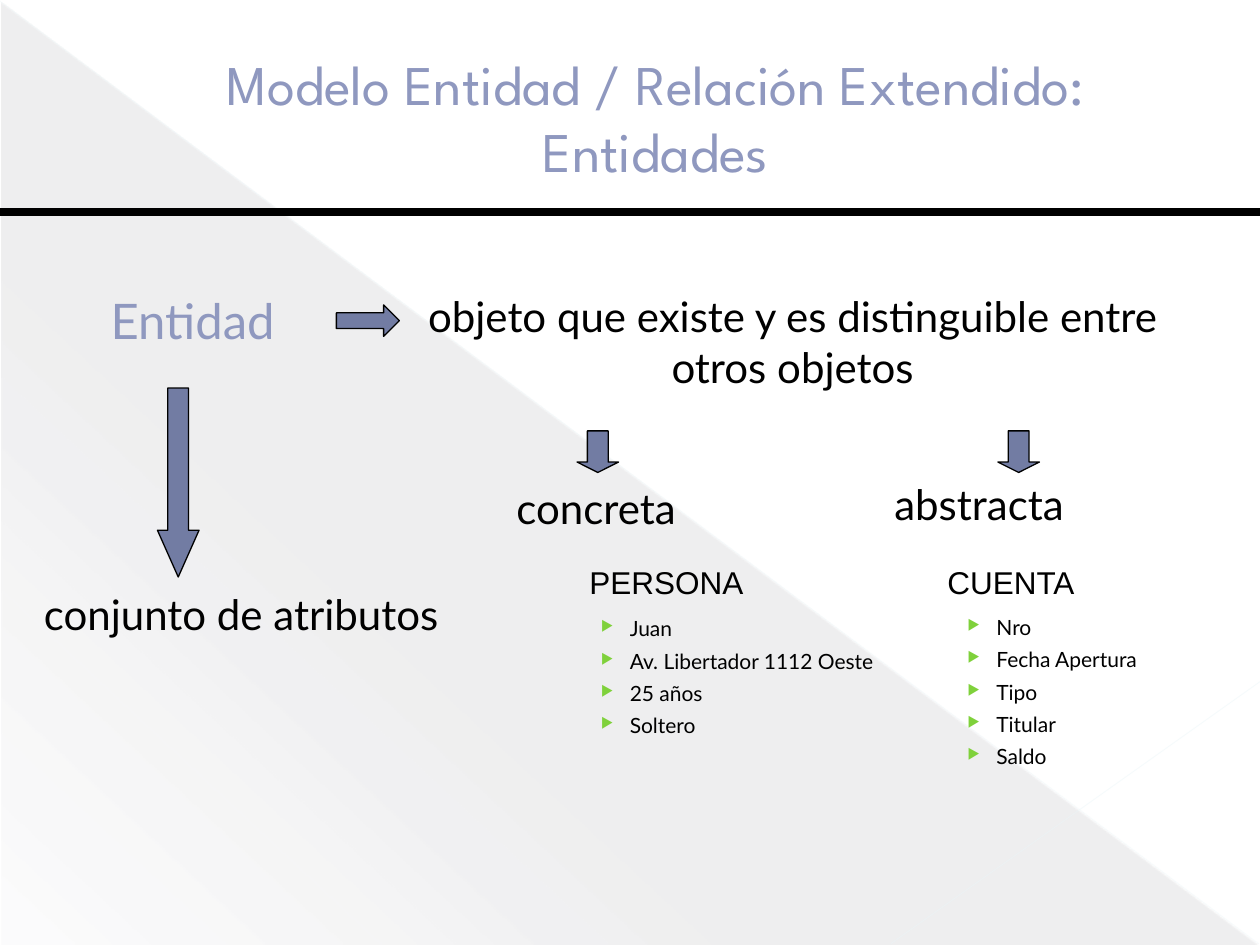
from lxml.etree import SubElement
from pptx import Presentation
from pptx.dml.color import RGBColor
from pptx.enum.shapes import MSO_CONNECTOR, MSO_SHAPE
from pptx.enum.text import MSO_ANCHOR, MSO_AUTO_SIZE, PP_ALIGN
from pptx.oxml.ns import qn
from pptx.util import Inches, Pt

BLACK = "000000"
ACCENT = "8F98BF"
ACCENT_EDGE = "4F5671"
ARROW_FILL = "727CA3"
BULLET_GREEN = "7FD13B"
BULLET_INDENT = Inches(0.23)


def color(code):
    return RGBColor.from_string(code)


def add_element(parent, tag, **attributes):
    element = SubElement(parent, qn(tag))
    for name, value in attributes.items():
        element.set(name, str(value))
    return element


def add_color_element(parent, code, opacity=100):
    element = add_element(parent, "a:srgbClr", val=code)
    if opacity < 100:
        add_element(element, "a:alpha", val=opacity * 1000)


def add_span(para, text, size, font="Lato", code=BLACK):
    span = para.add_run()
    span.text = text
    span.font.size = Pt(size)
    span.font.name = font
    span.font.color.rgb = color(code)
    return span


def outline_span(span):
    properties = span.font._element
    edge = properties.makeelement(qn("a:ln"), {"w": str(Pt(0.5))})
    properties.insert(0, edge)
    add_color_element(add_element(edge, "a:solidFill"), ACCENT_EDGE)


def add_box(page, left, top, width, height):
    box = page.shapes.add_textbox(
        Inches(left), Inches(top), Inches(width), Inches(height))
    box.text_frame.word_wrap = True
    box.text_frame.auto_size = MSO_AUTO_SIZE.SHAPE_TO_FIT_TEXT
    return box


def add_label(page, text, bounds, size=24, font="Lato", align=PP_ALIGN.LEFT):
    para = add_box(page, *bounds).text_frame.paragraphs[0]
    para.alignment = align
    add_span(para, text, size, font)


def add_bullets(page, items, bounds):
    frame = add_box(page, *bounds).text_frame
    for index, item in enumerate(items):
        para = frame.add_paragraph() if index else frame.paragraphs[0]
        properties = para._p.get_or_add_pPr()
        properties.set("marL", str(BULLET_INDENT))
        properties.set("indent", str(-BULLET_INDENT))
        add_color_element(add_element(properties, "a:buClr"), BULLET_GREEN)
        add_element(properties, "a:buSzPct", val=68000)
        add_element(properties, "a:buChar", char="▶")
        if index:
            para.space_before = Pt(4)
        add_span(para, item, 12)


def add_arrow(page, kind, bounds, head_length):
    arrow = page.shapes.add_shape(kind, *map(Inches, bounds))
    arrow.shadow.inherit = False
    arrow.adjustments[0] = 0.5
    arrow.adjustments[1] = head_length
    arrow.fill.solid()
    arrow.fill.fore_color.rgb = color(ARROW_FILL)
    arrow.line.color.rgb = color(BLACK)
    arrow.line.width = Pt(0.75)


def add_rule(page, ends, code, width, opacity=100):
    rule = page.shapes.add_connector(
        MSO_CONNECTOR.STRAIGHT, *map(Inches, ends))
    rule.line.color.rgb = color(code)
    rule.line.width = Pt(width)
    if opacity < 100:
        paint = rule.line._ln.find(qn("a:solidFill"))
        add_element(paint[0], "a:alpha", val=opacity * 1000)
    add_element(rule._element.spPr, "a:effectLst")


def add_backdrop(page):
    triangle = page.shapes.add_shape(
        MSO_SHAPE.RIGHT_TRIANGLE,
        Inches(0.01), Inches(0.02), Inches(9.98), Inches(7.48))
    triangle.shadow.inherit = False
    triangle.line.fill.background()
    triangle.fill.gradient()
    gradient = triangle._element.spPr.find(qn("a:gradFill"))
    for child in list(gradient):
        gradient.remove(child)
    stops = add_element(gradient, "a:gsLst")
    for position, opacity in ((0, 10), (70, 8), (100, 1)):
        stop = add_element(stops, "a:gs", pos=position * 1000)
        add_color_element(stop, "464653", opacity)
    add_element(gradient, "a:lin", ang=133 * 60000, scaled=0)
    add_rule(page, (0, 0.01, 9.99, 7.49), "E9F6F9", 0.39, 35)
    add_rule(page, (10, 5.41, 7.07, 7.49), "EBF6F9", 0.47, 45)
    add_rule(page, (0, 1.68, 10, 1.68), BLACK, 4.5)


def set_heading(page, lines):
    title = page.shapes.title
    title.left, title.top = Inches(0.33), Inches(0.3)
    title.width, title.height = Inches(9.75), Inches(1.25)
    title.text_frame.auto_size = MSO_AUTO_SIZE.NONE
    title.text_frame.vertical_anchor = MSO_ANCHOR.MIDDLE
    para = title.text_frame.paragraphs[0]
    para.alignment = PP_ALIGN.CENTER
    for index, line in enumerate(lines):
        if index:
            para.add_line_break()
        outline_span(add_span(para, line, 32, "League Spartan", ACCENT))


def add_term(page, text):
    frame = add_box(page, 0.25, 2.25, 2.42, 0.58).text_frame
    frame.auto_size = MSO_AUTO_SIZE.NONE
    frame.vertical_anchor = MSO_ANCHOR.MIDDLE
    para = frame.paragraphs[0]
    para._p.get_or_add_pPr().set("marL", str(Inches(0.53)))
    outline_span(add_span(para, text, 28, code=ACCENT))


def main():
    deck = Presentation()
    deck.slide_width, deck.slide_height = Inches(10), Inches(7.5)
    page = deck.slides.add_slide(deck.slide_layouts[5])

    add_backdrop(page)
    set_heading(page, ("Modelo Entidad / Relación Extendido:", "Entidades"))
    add_term(page, "Entidad")
    add_label(page, "objeto que existe y es distinguible entre otros objetos",
              (3, 2.26, 6.58, 0.91), align=PP_ALIGN.CENTER)
    add_label(page, "concreta", (4, 3.78, 1.75, 0.5))
    add_label(page, "abstracta", (7, 3.75, 2.17, 0.5))
    add_label(page, "conjunto de atributos", (0.25, 4.62, 5, 0.5))

    for left in (4.58, 7.92):
        add_arrow(page, MSO_SHAPE.DOWN_ARROW, (left, 3.42, 0.33, 0.33), 0.25)
    add_arrow(page, MSO_SHAPE.DOWN_ARROW, (1.25, 3.08, 0.33, 1.5), 1.125)
    add_arrow(page, MSO_SHAPE.RIGHT_ARROW, (2.67, 2.42, 0.5, 0.25), 0.5)

    add_label(page, "PERSONA", (4.58, 4.42, 1.5, 0.4), 18, "Arial")
    add_bullets(page, ("Juan", "Av. Libertador 1112 Oeste", "25 años", "Soltero"),
                (4.67, 4.84, 2.5, 2))
    add_label(page, "CUENTA", (7.42, 4.42, 2.58, 0.4), 18, "Arial")
    add_bullets(page, ("Nro", "Fecha Apertura", "Tipo", "Titular", "Saldo"),
                (7.58, 4.83, 2.5, 2.26))

    deck.save("out.pptx")


if __name__ == "__main__":
    main()
